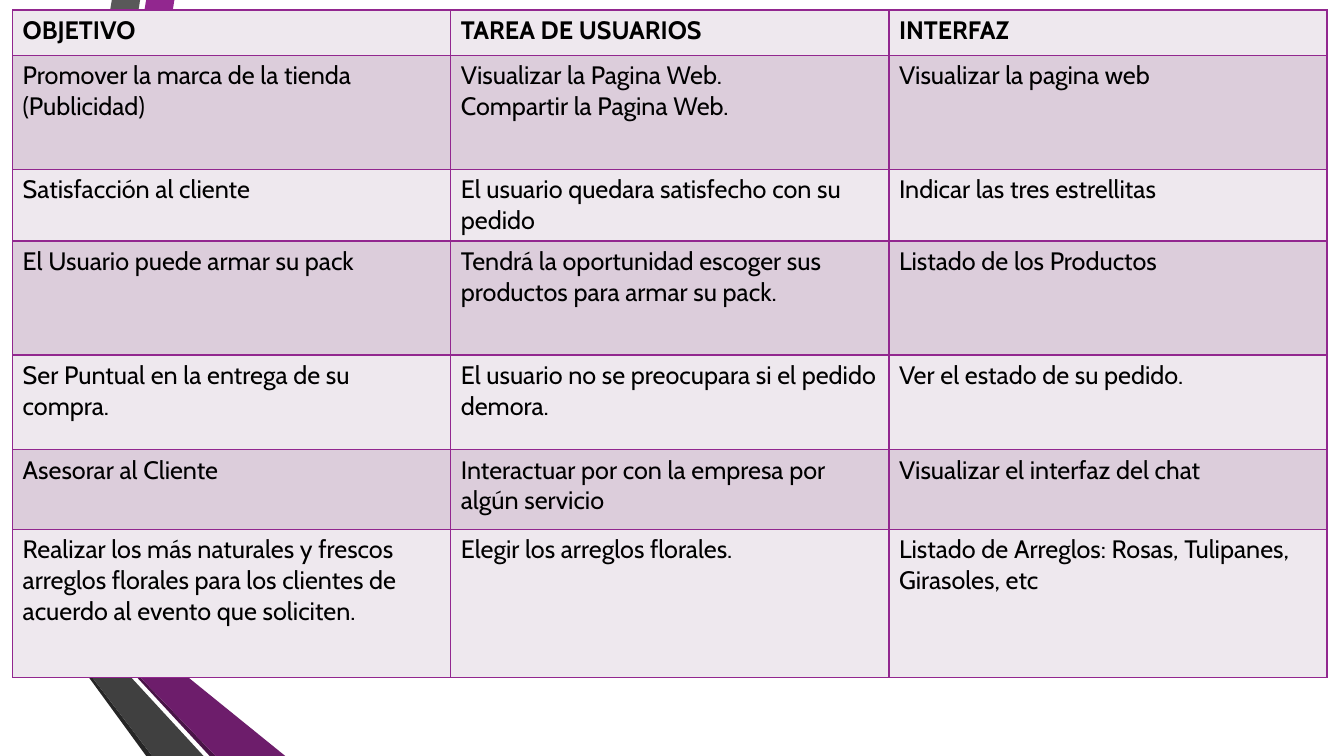
from lxml import etree
from pptx import Presentation
from pptx.dml.color import RGBColor
from pptx.oxml.ns import qn
from pptx.util import Pt

PURPLE = RGBColor(0x92, 0x27, 0x8F)
PLUM = RGBColor(0x6D, 0x1D, 0x6B)
DARK_PLUM = RGBColor(0x49, 0x14, 0x47)
GRAY = RGBColor(0x59, 0x59, 0x59)
DARK_GRAY = RGBColor(0x40, 0x40, 0x40)
CHARCOAL = RGBColor(0x26, 0x26, 0x26)
LIGHT_ROW = RGBColor(0xEE, 0xE8, 0xEE)
MAUVE_ROW = RGBColor(0xDC, 0xCD, 0xDB)
BLACK = RGBColor(0, 0, 0)

RIBBONS = [
    (PURPLE, [(36, 416.2), (55.4, 419.8), (124.6, 0), (104.4, 0)]),
    (GRAY, [(100.1, 0), (79.9, 0), (11.5, 412.6), (31.7, 415.4)]),
    (CHARCOAL, [(11.5, 412.6), (104.4, 540), (108.7, 540)]),
    (DARK_PLUM, [(36, 416.9), (149.8, 540), (154.1, 540)]),
    (PLUM, [(36, 416.2), (36, 416.9), (154.1, 540), (203.8, 540), (55.4, 419.8)]),
    (DARK_GRAY, [(145.4, 540), (34.6, 419.8), (31, 416.2), (31.7, 415.4),
                 (11.5, 412.6), (108.7, 540)]),
]

ROWS = [
    (32.4, ["OBJETIVO", "TAREA DE USUARIOS", "INTERFAZ"]),
    (81.4, ["Promover la marca de la tienda (Publicidad)",
            "Visualizar la Pagina Web.\nCompartir la Pagina Web.",
            "Visualizar la pagina web"]),
    (32.4, ["Satisfacción al cliente",
            "El usuario quedara satisfecho con su pedido",
            "Indicar las tres estrellitas"]),
    (81.4, ["El Usuario puede armar su pack",
            "Tendrá la oportunidad escoger sus productos para armar su pack.",
            "Listado de los Productos"]),
    (67.7, ["Ser Puntual en la entrega de su compra.",
            "El usuario no se preocupara si el pedido demora.",
            "Ver el estado de su pedido."]),
    (56.9, ["Asesorar al Cliente",
            "Interactuar por con la empresa por algún servicio",
            "Visualizar el interfaz del chat"]),
    (105.8, ["Realizar los más naturales y frescos arreglos florales para los "
             "clientes de acuerdo al evento que soliciten.",
             "Elegir los arreglos florales.",
             "Listado de Arreglos: Rosas, Tulipanes, Girasoles, etc"]),
]


def add_borders(cell, color, width):
    tcPr = cell._tc.get_or_add_tcPr()
    for i, side in enumerate(("a:lnL", "a:lnR", "a:lnT", "a:lnB")):
        ln = etree.Element(qn(side), w=str(width))
        fill = etree.SubElement(ln, qn("a:solidFill"))
        etree.SubElement(fill, qn("a:srgbClr"), val=str(color))
        tcPr.insert(i, ln)


prs = Presentation()
prs.slide_width = Pt(960)
prs.slide_height = Pt(540)
s = prs.slides.add_slide(prs.slide_layouts[6])

for color, points in RIBBONS:
    corners = [(Pt(x), Pt(y)) for x, y in points]
    builder = s.shapes.build_freeform(*corners[0])
    builder.add_line_segments(corners[1:], close=True)
    sp = builder.convert_to_shape()
    sp.shadow.inherit = False
    sp.fill.solid()
    sp.fill.fore_color.rgb = color
    sp.line.fill.background()

height = sum(h for h, _ in ROWS)
table = s.shapes.add_table(len(ROWS), 3, Pt(9), Pt(7.2), Pt(939), Pt(height)).table
for col in table.columns:
    col.width = Pt(313)

for i, (row_height, texts) in enumerate(ROWS):
    table.rows[i].height = Pt(row_height)
    for j, text in enumerate(texts):
        cell = table.cell(i, j)
        cell.fill.solid()
        cell.fill.fore_color.rgb = MAUVE_ROW if i % 2 else LIGHT_ROW
        add_borders(cell, PURPLE, Pt(1))
        tf = cell.text_frame
        for k, line in enumerate(text.split("\n")):
            p = tf.add_paragraph() if k else tf.paragraphs[0]
            r = p.add_run()
            r.text = line
            r.font.name = "Cabin"
            r.font.size = Pt(18)
            r.font.bold = i == 0
            r.font.color.rgb = BLACK

prs.save("out.pptx")
